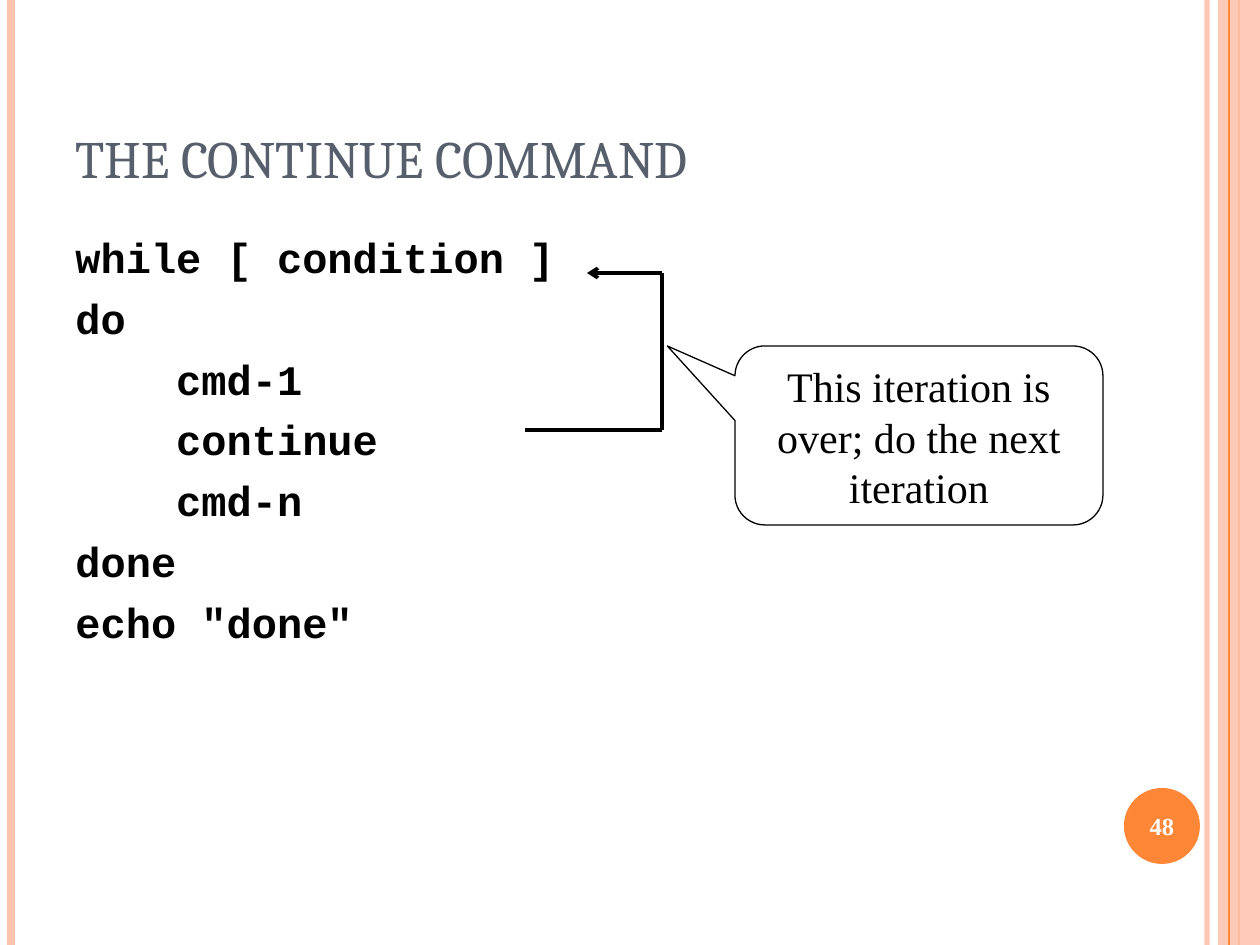
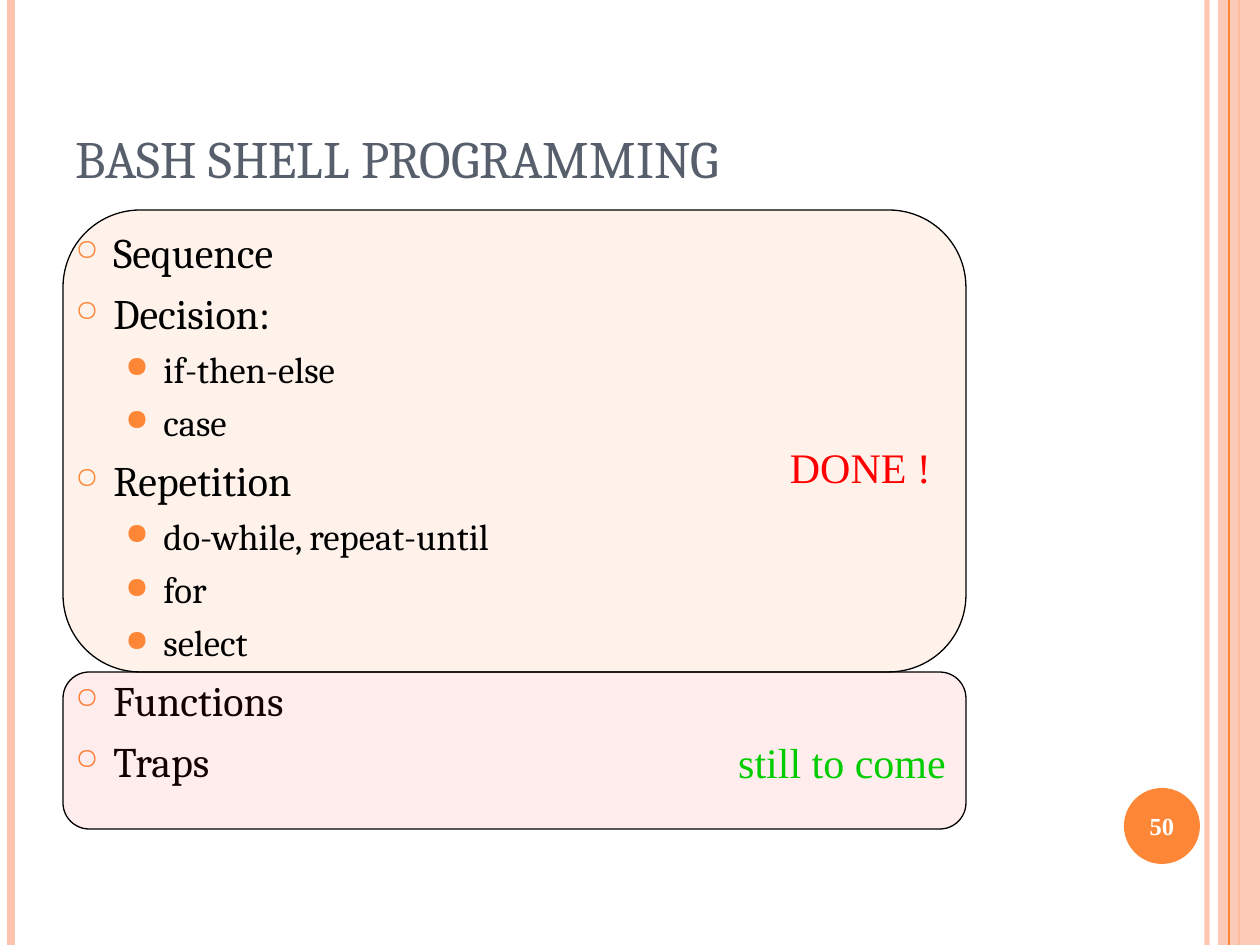
import pptx
import pptx.util
import pptx.dml.color
import pptx.enum.shapes
import pptx.enum.text
import pptx.oxml
import pptx.oxml.ns

RGB = pptx.dml.color.RGBColor
SHAPE = pptx.enum.shapes.MSO_SHAPE
LINE = pptx.enum.shapes.MSO_CONNECTOR.STRAIGHT
ALIGN = pptx.enum.text.PP_ALIGN
ANCHOR = pptx.enum.text.MSO_ANCHOR
Pt = pptx.util.Pt
qn = pptx.oxml.ns.qn

PEACH = RGB(0xFE, 0xC3, 0xAE)
ORANGE = RGB(0xFE, 0x86, 0x37)
SLATE = RGB(0x57, 0x5F, 0x6D)
BLACK = RGB(0, 0, 0)
WHITE = RGB(255, 255, 255)
RED = RGB(255, 0, 0)
GREEN = RGB(0, 0xCC, 0)

HEAD, CODE, SERIF = "Cambria", "Courier New", "Times New Roman"
WIDTH, HEIGHT = 1260, 945
LEAD = 1.2  # line pitch per point of text size

# Content
LOOP = ("THE CONTINUE COMMAND", "48")
LOOP_CODE = [
    "while [ condition ]",
    "do",
    "    cmd-1",
    "    continue",
    "    cmd-n",
    "done",
    'echo "done"',
]
NOTE = "This iteration is over; do the next iteration"
BACK = [(525, 430), (662, 430), (662, 273), (587, 273)]

TOPICS = ("BASH SHELL PROGRAMMING", "50")
TOPIC_LIST = [
    (0, "Sequence"),
    (0, "Decision:"),
    (1, "if-then-else"),
    (1, "case"),
    (0, "Repetition"),
    (1, "do-while, repeat-until"),
    (1, "for"),
    (1, "select"),
    (0, "Functions"),
    (0, "Traps"),
]
# Per level: size, space before, indent px, bullet, bullet percent
LEVELS = [(24, 6, 38, "○", 70), (21, 5.2, 88, "●", 80)]
HANG = 38

# Panels: box, fill, opacity, text, text colour, text drop px
DONE = ((63, 210, 903, 462), ORANGE, 10, "DONE !", RED, 209)
COMING = ((63, 672, 903, 157), RED, 7, "still to come", GREEN, 57)

# Shared rules: x, colour, weight, opacity
RULES = [(1207, PEACH, 3, 93), (11, PEACH, 4.5, 100), (1239, ORANGE, 1.5, 100)]
EDGE = (1229, ORANGE, 0.75, 100)
BAND = (1218, 0, 42, HEIGHT)
DISC = (1124, 788, 76, 76)
TITLE = (63, 38, 1029, 157)
BODY = (63, 220, 1029, 672)


def px(n):
    return round(n * 914400 / 126)


def fade(fill, percent):
    color = fill._xPr.find(".//" + qn("a:srgbClr"))
    pptx.oxml.ns  # namespace map used below
    alpha = color.makeelement(qn("a:alpha"), {"val": str(percent * 1000)})
    color.append(alpha)


def add_rule(slide, start, end, color, weight, alpha=100):
    rule = slide.shapes.add_connector(LINE, *map(px, start + end))
    rule.line.color.rgb = color
    rule.line.width = Pt(weight)
    if alpha < 100:
        fade(rule.line.fill, alpha)
    props = rule._element.spPr
    props.append(props.makeelement(qn("a:effectLst"), {}))
    return rule


def add_form(slide, kind, box, fill=None, alpha=100, edge=None):
    form = slide.shapes.add_shape(kind, *map(px, box))
    form.shadow.inherit = False
    if fill is None:
        form.fill.background()
    else:
        form.fill.solid()
        form.fill.fore_color.rgb = fill
        if alpha < 100:
            fade(form.fill, alpha)
    if edge is None:
        form.line.fill.background()
    else:
        form.line.color.rgb = edge
        form.line.width = Pt(0.75)
    return form


def set_frame(shape, anchor=ANCHOR.TOP):
    frame = shape.text_frame
    frame.word_wrap = True
    frame.vertical_anchor = anchor
    return frame


def add_box(slide, box, anchor=ANCHOR.TOP):
    return set_frame(slide.shapes.add_textbox(*map(px, box)), anchor)


def write(para, text, size, face, color=BLACK, bold=False, align=ALIGN.LEFT):
    para.alignment = align
    para.line_spacing = Pt(size * LEAD)
    run = para.add_run()
    run.text = text
    font = run.font
    font.size, font.name, font.bold = Pt(size), face, bold
    font.color.rgb = color


def next_para(frame, index, gap):
    if index == 0:
        return frame.paragraphs[0]
    para = frame.add_paragraph()
    para.space_before = Pt(gap)
    return para


def add_bullet(para, mark, percent, indent):
    props = para._p.get_or_add_pPr()
    props.set("marL", str(px(indent)))
    props.set("indent", str(-px(HANG)))
    tint = props.makeelement(qn("a:buClr"), {})
    tint.append(tint.makeelement(qn("a:srgbClr"), {"val": str(ORANGE)}))
    props.append(tint)
    for tag, attrs in (
        ("a:buSzPct", {"val": str(percent * 1000)}),
        ("a:buChar", {"char": mark}),
    ):
        props.append(props.makeelement(qn(tag), attrs))


def add_base(deck, title, number):
    """Blank slide with side rules, band, number disc and title."""
    slide = deck.slides.add_slide(deck.slide_layouts[6])
    for x, *style in RULES:
        add_rule(slide, (x, 0), (x, HEIGHT), *style)
    add_form(slide, SHAPE.RECTANGLE, BAND, PEACH, 87)
    x, *style = EDGE
    add_rule(slide, (x, 0), (x, HEIGHT), *style)
    disc = add_form(slide, SHAPE.OVAL, DISC, ORANGE)
    frame = set_frame(disc, ANCHOR.MIDDLE)
    frame.margin_left = frame.margin_right = 0
    write(frame.paragraphs[0], number, 14, SERIF, WHITE, True, ALIGN.CENTER)
    frame = add_box(slide, TITLE, ANCHOR.BOTTOM)
    write(frame.paragraphs[0], title, 30, HEAD, SLATE)
    return slide


def add_panel(slide, box, fill, alpha, text, color, drop):
    panel = add_form(slide, SHAPE.ROUNDED_RECTANGLE, box, fill, alpha, BLACK)
    panel.adjustments[0] = 0.167
    frame = set_frame(panel)
    frame.margin_top = px(drop)
    write(frame.paragraphs[0], text, 24, SERIF, color, align=ALIGN.RIGHT)


def build_loop(deck):
    slide = add_base(deck, *LOOP)
    frame = add_box(slide, (63, 225, 1029, 667))
    for i, text in enumerate(LOOP_CODE):
        write(next_para(frame, i, 6), text, 24, CODE, bold=True)

    # Callout
    call = add_form(slide, SHAPE.ROUNDED_RECTANGULAR_CALLOUT,
                    (735, 346, 368, 179), edge=BLACK)
    for i, value in enumerate((-0.684, -0.5, 0.167)):
        call.adjustments[i] = value
    para = set_frame(call).paragraphs[0]
    write(para, NOTE, 24, SERIF, align=ALIGN.CENTER)

    # Jump back to the condition
    for start, end in zip(BACK, BACK[1:]):
        rule = add_rule(slide, start, end, BLACK, 2)
    line = rule.line._get_or_add_ln()
    line.append(line.makeelement(qn("a:tailEnd"), {"type": "arrow"}))


def build_topics(deck):
    slide = add_base(deck, *TOPICS)
    add_panel(slide, *DONE)
    frame = add_box(slide, BODY)
    for i, (level, text) in enumerate(TOPIC_LIST):
        size, gap, indent, mark, percent = LEVELS[level]
        para = next_para(frame, i, gap)
        para.level = level
        # Spacing elements must precede the bullet elements
        write(para, text, size, HEAD)
        add_bullet(para, mark, percent, indent)
    add_panel(slide, *COMING)


def main():
    deck = pptx.Presentation()
    deck.slide_width, deck.slide_height = px(WIDTH), px(HEIGHT)
    build_loop(deck)
    build_topics(deck)
    deck.save("out.pptx")


if __name__ == "__main__":
    main()
